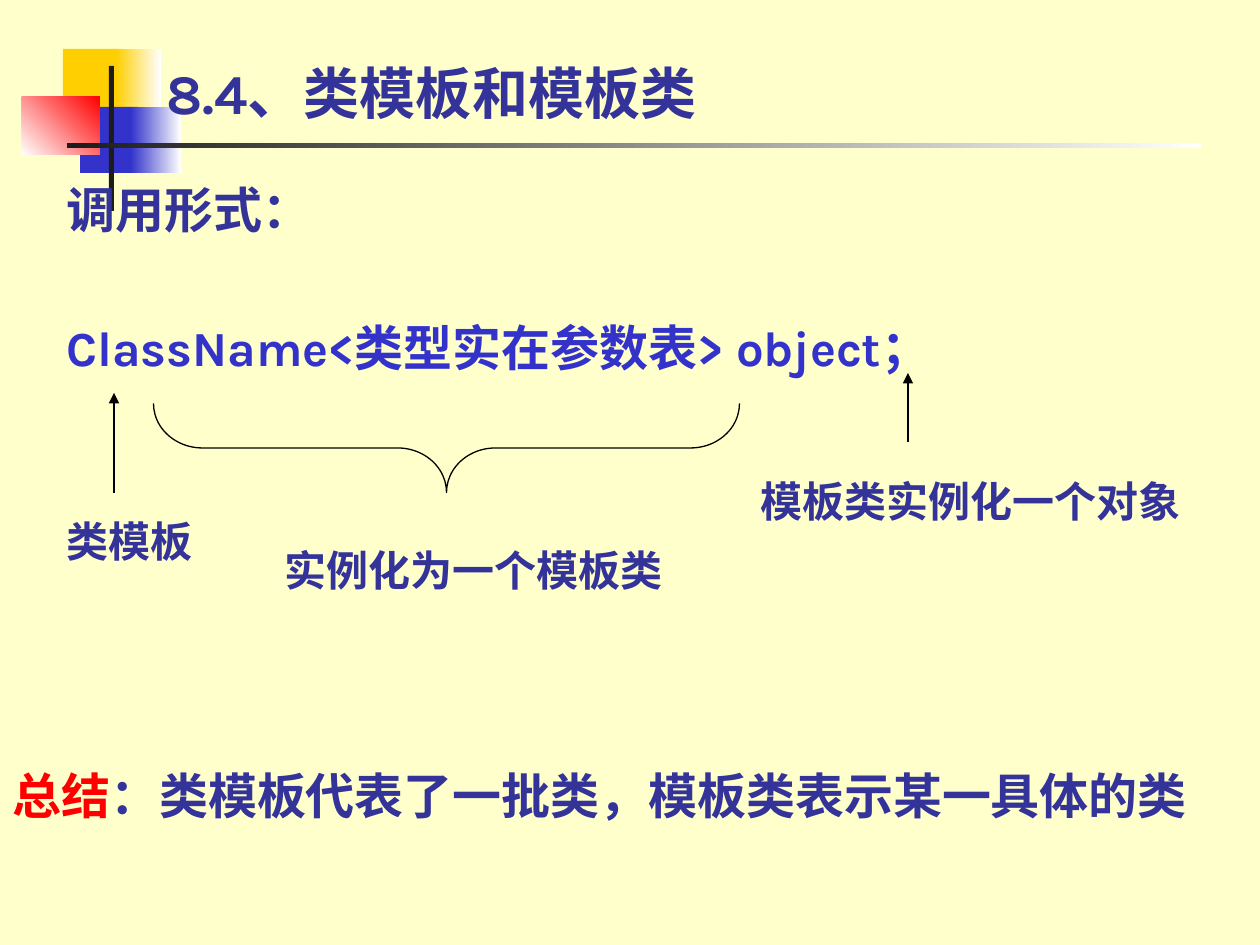
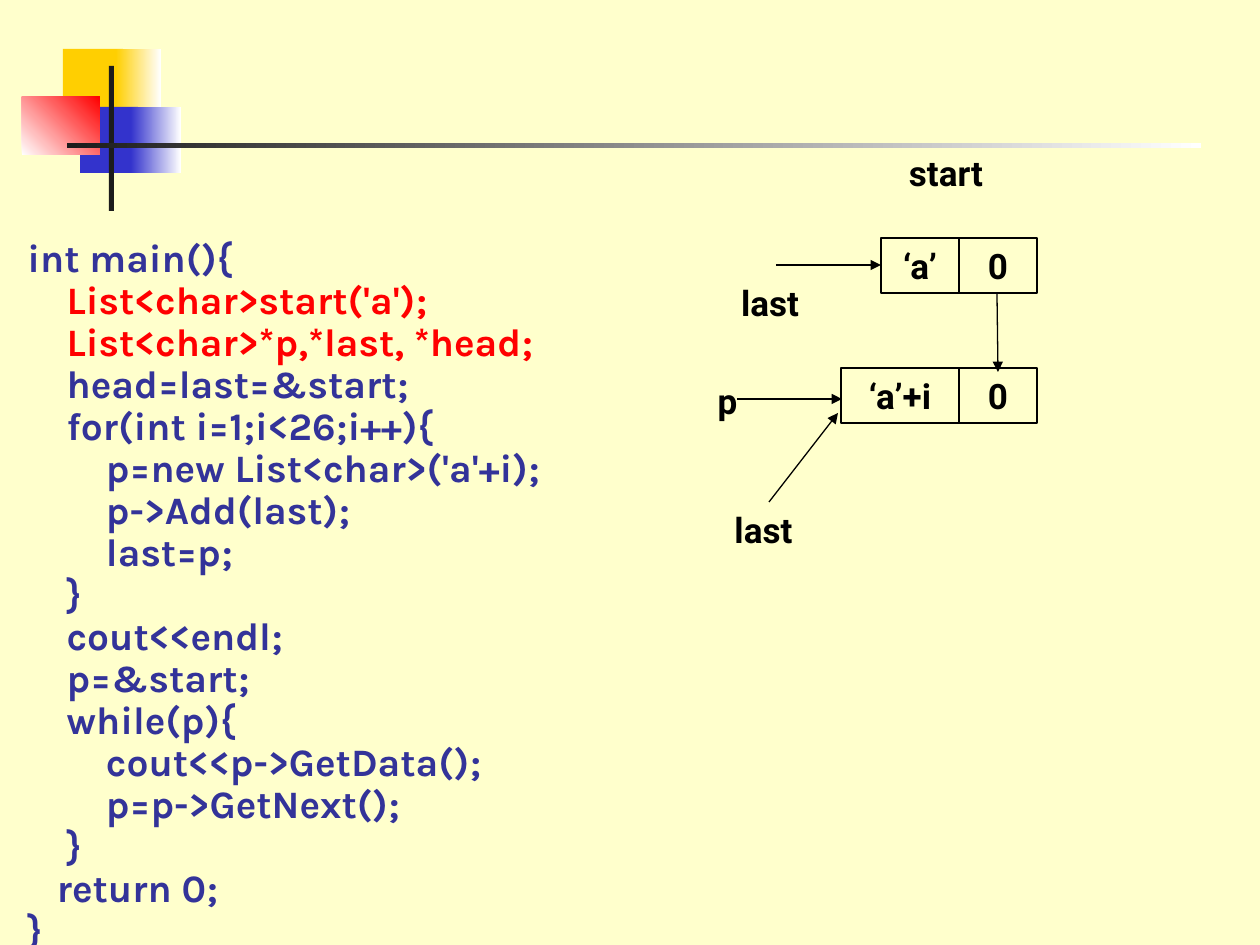
"""Builds two slides on class templates and template classes."""
from dataclasses import dataclass

from lxml.etree import SubElement
from pptx import Presentation
from pptx.dml.color import RGBColor
from pptx.enum.shapes import MSO_CONNECTOR as Connector, MSO_SHAPE as Shape
from pptx.enum.text import MSO_ANCHOR as Anchor, PP_ALIGN as Align
from pptx.oxml.ns import qn
from pptx.util import Pt

EMU_PER_PX = 914400 / 126


@dataclass(frozen=True)
class Theme:
    """Colours, fonts and type sizes of the deck."""
    paper: str = "FFFFCC"
    white: str = "FFFFFF"
    black: str = "000000"
    ink: str = "1C1C1C"
    yellow: str = "FFCF01"
    blue: str = "3333CC"
    navy: str = "333399"
    red: str = "FF0000"
    body_font: str = "Karla"
    label_font: str = "Roboto"
    title: float = 32
    body: float = 28
    note: float = 24
    code: float = 22.2
    label: float = 20
    line: float = 0.75


THEME = Theme()

CODE = [
    ("int main(){", THEME.navy),
    ("    List<char>start('a');", THEME.red),
    ("    List<char>*p,*last, *head;", THEME.red),
    ("    head=last=&start;", THEME.navy),
    ("    for(int i=1;i<26;i++){", THEME.navy),
    ("        p=new List<char>('a'+i);", THEME.navy),
    ("        p->Add(last);", THEME.navy),
    ("        last=p;", THEME.navy),
    ("    }", THEME.navy),
    ("    cout<<endl;", THEME.navy),
    ("    p=&start;", THEME.navy),
    ("    while(p){", THEME.navy),
    ("        cout<<p->GetData();", THEME.navy),
    ("        p=p->GetNext();", THEME.navy),
    ("    }", THEME.navy),
    ("   return 0;", THEME.navy),
    ("}", THEME.navy),
]


def px(*lengths):
    """Turn pixel lengths into EMU."""
    return [round(length * EMU_PER_PX) for length in lengths]


def rgb(colour):
    """Turn a hex string into a colour."""
    return RGBColor.from_string(colour)


def add_run(paragraph, text, size, colour, font=THEME.body_font):
    """Append one bold run."""
    run = paragraph.add_run()
    run.text = text
    run.font.size = Pt(size)
    run.font.bold = True
    run.font.color.rgb = rgb(colour)
    run.font.name = font
    SubElement(run.font._element, qn("a:ea"), typeface=font)


def add_text(slide, box, lines, size, spacing=None):
    """Add a bottom-anchored box; each line is a list of (text, colour) runs."""
    frame = slide.shapes.add_textbox(*px(*box)).text_frame
    frame.word_wrap = True
    frame.vertical_anchor = Anchor.BOTTOM
    for index, runs in enumerate(lines):
        paragraph = frame.add_paragraph() if index else frame.paragraphs[0]
        paragraph.line_spacing = spacing
        for text, colour in runs:
            add_run(paragraph, text, size, colour)


def fill_label(shape, text):
    """Write a centred diagram label into a shape."""
    frame = shape.text_frame
    frame.word_wrap = True
    frame.vertical_anchor = Anchor.TOP
    paragraph = frame.paragraphs[0]
    paragraph.alignment = Align.CENTER
    add_run(paragraph, text, THEME.label, THEME.black, THEME.label_font)


def add_label(slide, left, top, width, text):
    """Add a diagram label without a frame."""
    fill_label(slide.shapes.add_textbox(*px(left, top, width, 55)), text)


def add_outline(slide, kind, box):
    """Add an unfilled preset shape with a thin black line."""
    shape = slide.shapes.add_shape(kind, *px(*box))
    shape.shadow.inherit = False
    shape.fill.background()
    shape.line.color.rgb = rgb(THEME.black)
    shape.line.width = Pt(THEME.line)
    return shape


def add_list_node(slide, top, data_width, data):
    """Add a list node: a data cell and a pointer cell."""
    pointer_left = 959
    cells = [(pointer_left - data_width, data_width, data), (pointer_left, 78, "0")]
    for left, width, text in cells:
        fill_label(add_outline(slide, Shape.RECTANGLE, (left, top, width, 55)), text)


def add_arrow(slide, start, end):
    """Add a thin line with a triangle at its end."""
    arrow = slide.shapes.add_connector(Connector.STRAIGHT, *px(*start, *end))
    arrow.line.color.rgb = rgb(THEME.black)
    arrow.line.width = Pt(THEME.line)
    SubElement(arrow.line._get_or_add_ln(), qn("a:tailEnd"), type="triangle")
    SubElement(arrow._element.spPr, qn("a:effectLst"))


def add_block(slide, box, colour, fade_to=None, angle=0):
    """Add a borderless rectangle, solid or fading to a second colour."""
    shape = slide.shapes.add_shape(Shape.RECTANGLE, *px(*box))
    shape.shadow.inherit = False
    shape.line.fill.background()
    if fade_to is None:
        shape.fill.solid()
        shape.fill.fore_color.rgb = rgb(colour)
        return
    shape.fill.gradient()
    shape.fill.gradient_angle = angle
    for stop, stop_colour, position in zip(
            shape.fill.gradient_stops, (colour, fade_to), (0, 1)):
        stop.color.rgb = rgb(stop_colour)
        stop.position = position


def add_slide(presentation):
    """Add a blank slide with the shared corner blocks and rules."""
    slide = presentation.slides.add_slide(presentation.slide_layouts[6])
    slide.background.fill.solid()
    slide.background.fill.fore_color.rgb = rgb(THEME.paper)
    add_block(slide, (63, 49, 60, 66), THEME.yellow)
    add_block(slide, (116, 49, 45, 66), THEME.yellow, THEME.white)
    add_block(slide, (80, 107, 58, 66), THEME.blue)
    add_block(slide, (131, 107, 50, 66), THEME.blue, THEME.white)
    add_block(slide, (22, 97, 78, 58), THEME.white, THEME.red, 45)
    add_block(slide, (109, 66, 5, 145), THEME.ink)
    add_block(slide, (67, 143, 1134, 5), THEME.ink, THEME.white)
    return slide


def build_call_form(presentation):
    """Slide on how a class template is called."""
    slide = add_slide(presentation)
    add_text(slide, (154, 6, 1074, 126), [[("8.4、类模板和模板类", THEME.navy)]], THEME.title)
    add_text(slide, (54, 145, 1160, 100), [[("调用形式：", THEME.navy)]], THEME.body)
    add_text(slide, (54, 265, 1160, 118),
             [[("ClassName<类型实在参数表> object；", THEME.blue)]], THEME.body)
    add_text(slide, (0, 731, 1216, 100),
             [[("总结", THEME.red),
               ("：类模板代表了一批类，模板类表示某一具体的类", THEME.navy)]], THEME.body)

    brace = add_outline(slide, Shape.RIGHT_BRACE, (402, 155, 89, 586))
    brace.rotation = 90
    brace.adjustments[0] = 0.55

    for left, top, width, note in [(272, 522, 442, "实例化为一个模板类"),
                                   (54, 493, 159, "类模板"),
                                   (748, 453, 512, "模板类实例化一个对象")]:
        add_text(slide, (left, top, width, 79), [[(note, THEME.navy)]], THEME.note)
    add_arrow(slide, (114, 493), (114, 393))
    add_arrow(slide, (908, 442), (908, 373))


def build_list_example(presentation):
    """Slide with the list program and its node diagram."""
    slide = add_slide(presentation)
    add_text(slide, (15, 159, 1226, 800), [[line] for line in CODE], THEME.code, 0.9)

    add_list_node(slide, 238, 78, "‘a’")
    add_list_node(slide, 368, 118, "‘a’+i")
    for left, top, width, text in [(868, 145, 156, "start"), (692, 275, 156, "last"),
                                   (699, 373, 57, "p"), (699, 502, 129, "last")]:
        add_label(slide, left, top, width, text)
    for start, end in [((776, 265), (881, 265)), ((737, 399), (842, 399)),
                       ((997, 294), (998, 372)), ((769, 502), (838, 413))]:
        add_arrow(slide, start, end)


def main():
    """Build and save the presentation."""
    presentation = Presentation()
    presentation.slide_width, presentation.slide_height = px(1260, 945)
    build_call_form(presentation)
    build_list_example(presentation)
    presentation.save("out.pptx")


if __name__ == "__main__":
    main()
